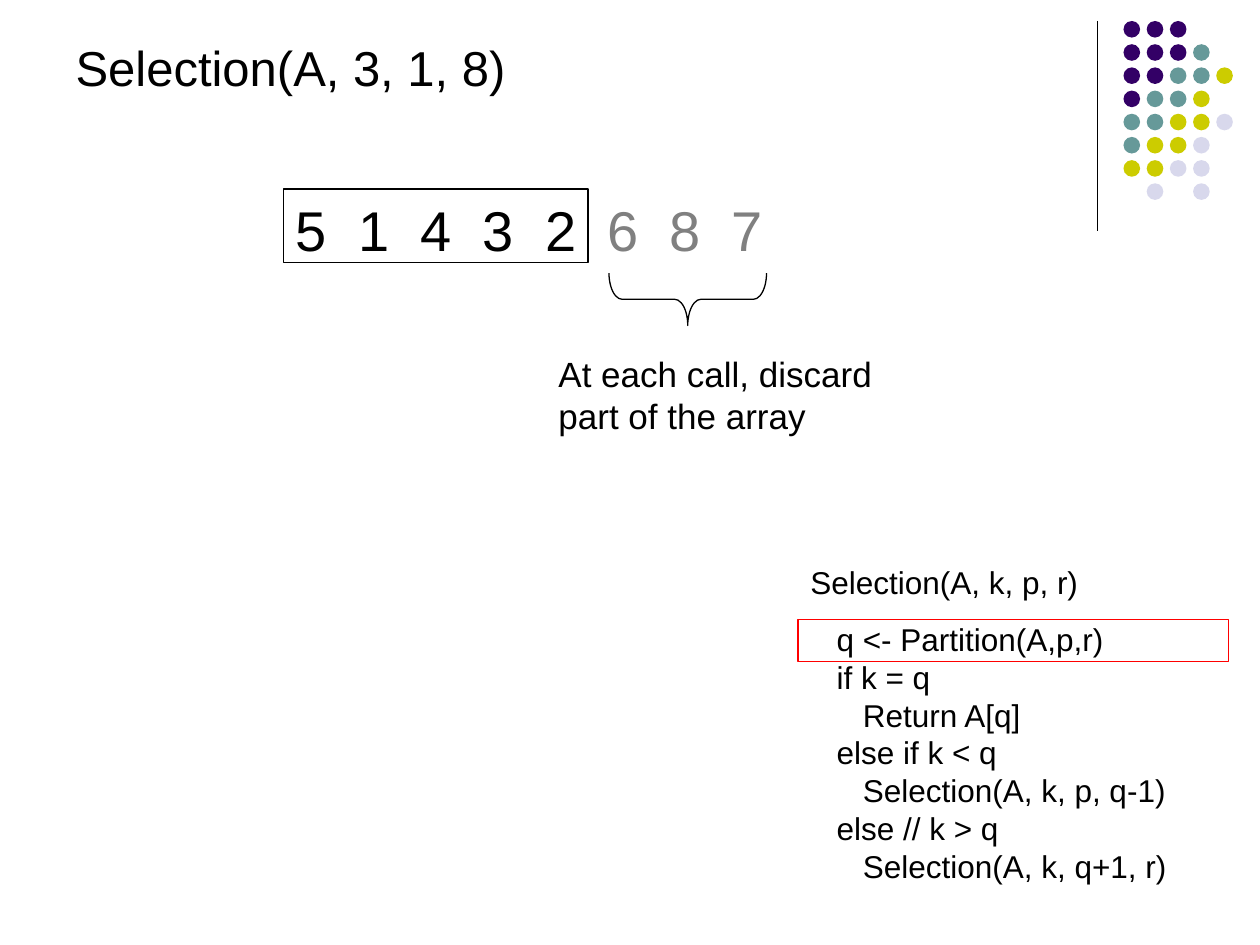
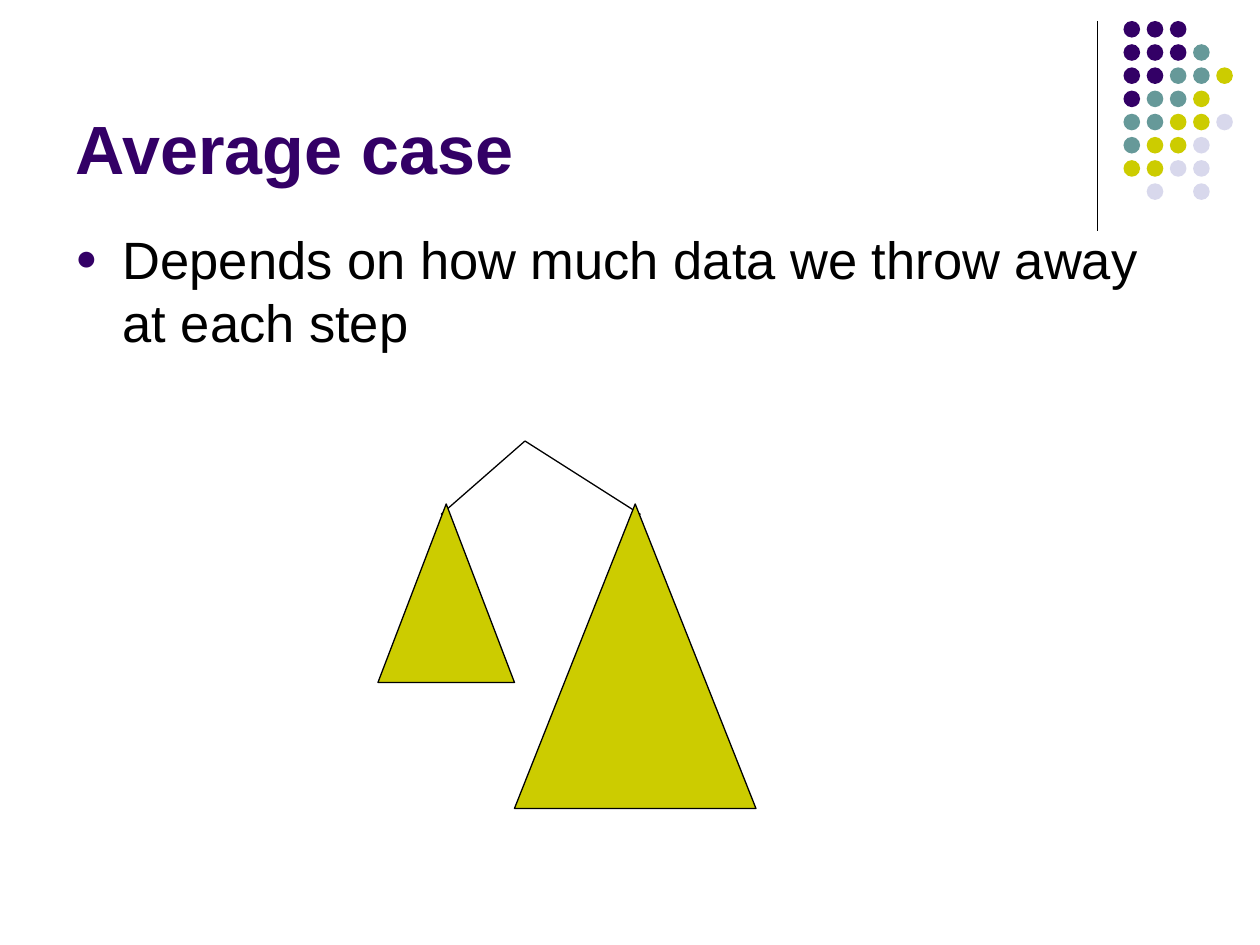
from lxml import etree
from pptx import Presentation
from pptx import util as u
from pptx.dml import color
from pptx.enum import shapes, text
from pptx.oxml import ns

Pt = u.Pt
INK, PURPLE, TEAL, OLIVE, LILAC = "000000", "330066", "669999", "CCCC00", "D8D8EC"
GRAY, RED, LINE_WIDTH = "808080", "FF0000", 0.74


def rgb(value):
    return color.RGBColor.from_string(value)


def write(box, paragraphs, size, frame_format=None, bold=False):
    """Fill a box; each paragraph is a (spans, format values) pair."""
    frame = box.text_frame
    values = dict(word_wrap=True, auto_size=text.MSO_AUTO_SIZE.NONE,
                  vertical_anchor=text.MSO_ANCHOR.TOP)
    for name, value in {**values, **(frame_format or {})}.items():
        setattr(frame, name, value)
    for index, (spans, formats) in enumerate(paragraphs):
        para = frame.add_paragraph() if index else frame.paragraphs[0]
        values = dict(alignment=text.PP_ALIGN.LEFT, line_spacing=Pt(1.2 * size))
        for name, value in {**values, **formats}.items():
            setattr(para, name, value)
        for words, ink in spans:
            span = para.add_run()
            span.text = words
            for name, value in dict(name="Arial", size=Pt(size), bold=bold).items():
                setattr(span.font, name, value)
            span.font.color.rgb = rgb(ink)


deck = Presentation()
deck.slide_width, deck.slide_height = Pt(720), Pt(540)
title_only = deck.slide_layouts[5]
call_page, average_page = [deck.slides.add_slide(title_only) for _ in range(2)]

# Shared corner ornament: a rule and a grid of dots, moved to the master
ornament = call_page.shapes.add_group_shape()
rule = ornament.shapes.add_connector(
    shapes.MSO_CONNECTOR.STRAIGHT, Pt(627), Pt(12), Pt(627), Pt(132))
rule.line.color.rgb = rgb(INK)
rule.line.width = Pt(LINE_WIDTH)
etree.SubElement(rule.element.spPr, ns.qn("a:effectLst"))
dot_colors = dict(P=PURPLE, T=TEAL, O=OLIVE, L=LILAC)
dot_rows = ["PPP", "PPPT", "PPTTO", "PTTO", "TTOOL", "TOOL", "OOLL", " L L"]
for row, letters in enumerate(dot_rows):
    for column, letter in enumerate(letters):
        if letter in dot_colors:
            dot = ornament.shapes.add_shape(
                shapes.MSO_SHAPE.OVAL, Pt(642 + 13.25 * column),
                Pt(12 + 13.25 * row), Pt(9.5), Pt(9.5))
            dot.shadow.inherit = False
            dot.fill.solid()
            dot.fill.fore_color.rgb = rgb(dot_colors[letter])
            dot.line.fill.background()
master_tree = deck.slide_master.element.cSld.spTree
master_tree.insert_element_before(ornament.element, "p:extLst")
for number, properties in enumerate(master_tree.iter(ns.qn("p:cNvPr")), 1):
    properties.set("id", str(number))

# Titles
top, bottom = text.MSO_ANCHOR.TOP, text.MSO_ANCHOR.BOTTOM
for page, words, frame, size, ink, bold, anchor in [
    (call_page, "Selection(A, 3, 1, 8)", (36, 18, 462, 41), 28, INK, False, top),
    (average_page, "Average case", (36, 9, 594, 102), 39, PURPLE, True, bottom),
]:
    title = page.shapes.title
    for name, value in zip(("left", "top", "width", "height"), frame):
        setattr(title, name, Pt(value))
    write(title, [([(words, ink)], {})], size, dict(vertical_anchor=anchor), bold)

# Pseudocode: indent level of each line and its words
code_lines = [
    (0, "Selection(A, k, p, r)"),
    (1, "q <- Partition(A,p,r)"),
    (1, "if k = q"),
    (2, "Return A[q]"),
    (1, "else if k < q"),
    (2, "Selection(A, k, p, q-1)"),
    (1, "else // k > q"),
    (2, "Selection(A, k, q+1, r)"),
]
code = call_page.shapes.add_textbox(Pt(456), Pt(318), Pt(246), Pt(191.5))
write(code, [([(words, INK)], dict(space_before=Pt(11.2 if index == 1 else 0)))
             for index, (level, words) in enumerate(code_lines)], 18)
for para, (level, words) in zip(code.text_frame.paragraphs, code_lines):
    para._p.get_or_add_pPr().set("marL", str(Pt(15 * level)))

# Array, one tab stop per number
array = call_page.shapes.add_textbox(Pt(162), Pt(108), Pt(330), Pt(46))
write(array, [([("5\t1\t4\t3\t2\t", INK), ("6\t8\t7", GRAY)], {})], 32)
tabs = etree.SubElement(array.text_frame.paragraphs[0]._p.pPr, ns.qn("a:tabLst"))
for stop in range(1, 8):
    etree.SubElement(tabs, ns.qn("a:tab"), pos=str(Pt(35.6 * stop)), algn="l")

# Note on the discarded part
note = call_page.shapes.add_textbox(Pt(312), Pt(198), Pt(198), Pt(55))
write(note, [([("At each call, discard part of the array", INK)], {})], 20)

# Bullet
bullet = average_page.shapes.add_textbox(Pt(36), Pt(126), Pt(648), Pt(126))
write(bullet, [([("Depends on how much data we throw away at each step", INK)], {})], 30)
properties = bullet.text_frame.paragraphs[0]._p.pPr
properties.set("marL", str(Pt(27)))
properties.set("indent", str(Pt(-27)))
bullet_color = etree.SubElement(properties, ns.qn("a:buClr"))
etree.SubElement(bullet_color, ns.qn("a:srgbClr"), val=PURPLE)
etree.SubElement(properties, ns.qn("a:buSzPct"), val="70000")
etree.SubElement(properties, ns.qn("a:buFont"), typeface="Arial")
etree.SubElement(properties, ns.qn("a:buChar"), char="●")

# Branches from the root to the two subtrees
for x, y in [(252, 294), (366, 294)]:
    branch = average_page.shapes.add_connector(
        shapes.MSO_CONNECTOR.STRAIGHT, Pt(300), Pt(252), Pt(x), Pt(y))
    branch.line.color.rgb = rgb(INK)
    branch.line.width = Pt(LINE_WIDTH)
    etree.SubElement(branch.element.spPr, ns.qn("a:effectLst"))

# Frames, brace and subtrees
rectangle, triangle = shapes.MSO_SHAPE.RECTANGLE, shapes.MSO_SHAPE.ISOSCELES_TRIANGLE
brace = shapes.MSO_SHAPE.LEFT_BRACE
for page, kind, frame, fill, ink, turn in [
    (call_page, rectangle, (456, 354, 246, 24), None, RED, 0),
    (call_page, rectangle, (162, 108, 174, 42), None, INK, 0),
    (call_page, brace, (378, 126, 30, 90), None, INK, 270),
    (average_page, triangle, (216, 288, 78, 102), OLIVE, INK, 0),
    (average_page, triangle, (294, 288, 138, 174), OLIVE, INK, 0),
]:
    shape = page.shapes.add_shape(kind, *map(Pt, frame))
    shape.shadow.inherit = False
    shape.rotation = turn
    shape.line.color.rgb = rgb(ink)
    shape.line.width = Pt(LINE_WIDTH)
    if kind == brace:
        shape.adjustments[0] = 0.25
    if fill:
        shape.fill.solid()
        shape.fill.fore_color.rgb = rgb(fill)
    else:
        shape.fill.background()

deck.save("out.pptx")
